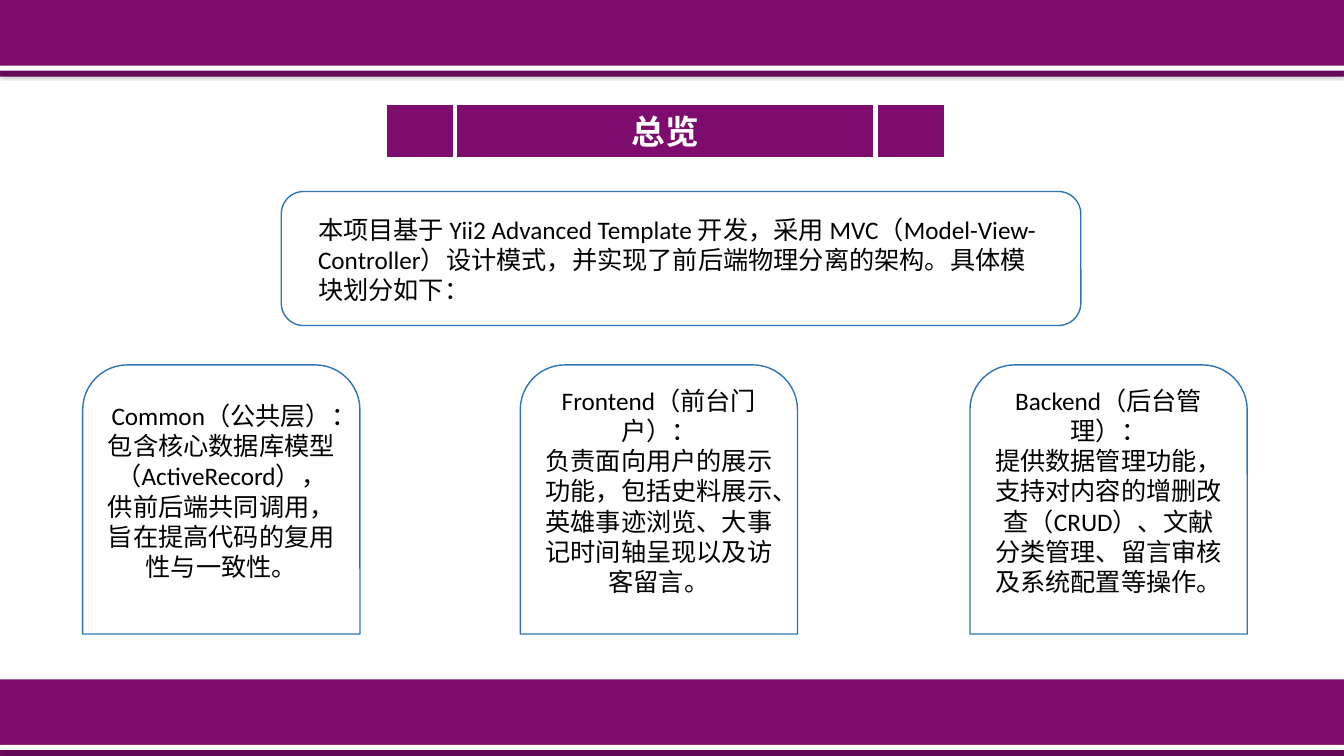
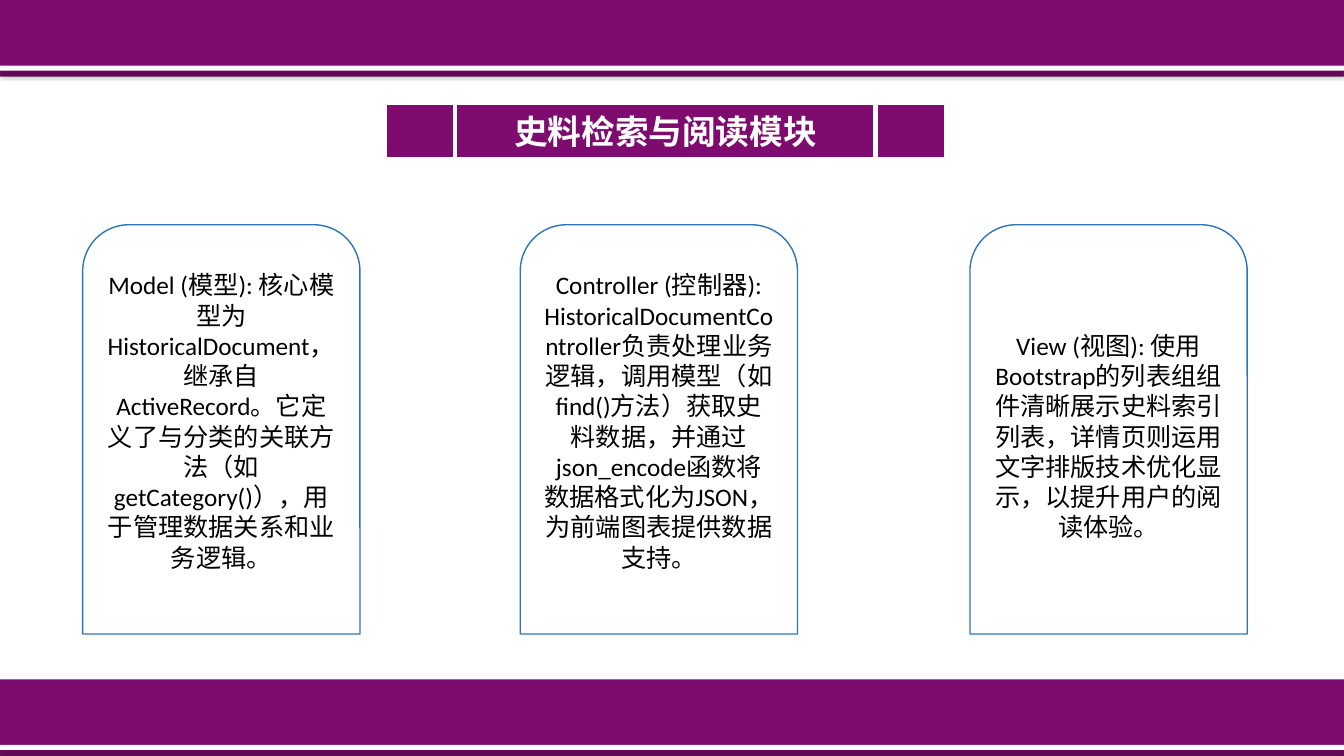
import dataclasses

import lxml.etree
import pptx
import pptx.dml.color
import pptx.enum.shapes
import pptx.enum.text
import pptx.oxml.ns
import pptx.util

Inches = pptx.util.Inches
Pt = pptx.util.Pt
ShapeType = pptx.enum.shapes.MSO_SHAPE
Align = pptx.enum.text.PP_ALIGN
Anchor = pptx.enum.text.MSO_ANCHOR


@dataclasses.dataclass(frozen=True)
class Theme:
    """Colours, type sizes and line widths shared by the slides."""

    purple: str = "7E0C6E"
    white: str = "FFFFFF"
    black: str = "000000"
    outline: str = "2E75B6"
    font: str = "Calibri"
    title_size: int = 24
    body_size: int = 18
    card_line: float = 1
    banner_line: float = 3


@dataclasses.dataclass(frozen=True)
class Box:
    """A rectangle in inches."""

    left: float
    top: float
    width: float
    height: float

    def lengths(self):
        """Return the four lengths in the order that add_shape takes."""
        return [Inches(value) for value in dataclasses.astuple(self)]


THEME = Theme()
PAGE = Box(0, 0, 13.33, 7.5)
BANNER = Box(3.82, 1.02, 5.56, 0.56)
INTRO = Box(2.79, 1.9, 7.93, 1.33)
BAND_HEIGHT = 0.76
CARD_LEFTS = (0.82, 5.16, 9.62)
CARD_WIDTH = 2.75
CARD_BOTTOM = 6.29
RAISED_INSET = 0.35
PLAIN_INSET = 0.05

INTRO_TEXT = (
    "本项目基于 Yii2 Advanced Template 开发，采用 MVC（Model-View-Controller）"
    "设计模式，并实现了前后端物理分离的架构。具体模块划分如下："
)
LAYER_CARDS = [
    (["Common（公共层）：",
      "包含核心数据库模型（ActiveRecord），供前后端共同调用，旨在提高代码的复用性与一致性。"],
     RAISED_INSET),
    (["Frontend（前台门户）：",
      "负责面向用户的展示功能，包括史料展示、英雄事迹浏览、大事记时间轴呈现以及访客留言。"],
     RAISED_INSET),
    (["Backend（后台管理）：",
      "提供数据管理功能，支持对内容的增删改查（CRUD）、文献分类管理、留言审核及系统配置等操作。"],
     RAISED_INSET),
]
MODULE_CARDS = [
    (["Model (模型): 核心模型为 HistoricalDocument，继承自ActiveRecord。"
      "它定义了与分类的关联方法（如 getCategory()），用于管理数据关系和业务逻辑。"],
     RAISED_INSET),
    (["Controller (控制器): HistoricalDocumentController负责处理业务逻辑，"
      "调用模型（如 find()方法）获取史料数据，并通过 json_encode函数将数据格式化为JSON，"
      "为前端图表提供数据支持。"],
     RAISED_INSET),
    (["View (视图): 使用Bootstrap的列表组组件清晰展示史料索引列表，"
      "详情页则运用文字排版技术优化显示，以提升用户的阅读体验。"],
     PLAIN_INSET),
]


def color(value):
    """Turn a hexadecimal value into a colour."""
    return pptx.dml.color.RGBColor.from_string(value)


def add_shape(slide, kind, box, fill, line=None, line_width=0):
    """Add a flat shape with the given fill and optional outline."""
    shape = slide.shapes.add_shape(kind, *box.lengths())
    shape.fill.solid()
    shape.fill.fore_color.rgb = color(fill)
    if line:
        shape.line.color.rgb = color(line)
        shape.line.width = Pt(line_width)
    else:
        shape.line.fill.background()
    shape.shadow.inherit = False
    return shape


def add_drop_shadow(shape):
    """Cast a soft shadow straight down from a shape."""
    qualified = pptx.oxml.ns.qn
    effects = shape.element.spPr.find(qualified("a:effectLst"))
    shadow = lxml.etree.SubElement(
        effects, qualified("a:outerShdw"), blurRad=str(Pt(4)), dist=str(Pt(3)),
        dir="5400000", algn="t", rotWithShape="0")
    shade = lxml.etree.SubElement(shadow, qualified("a:srgbClr"), val=THEME.black)
    lxml.etree.SubElement(shade, qualified("a:alpha"), val="40000")


def write_text(shape, texts, size, ink, alignment, bold=False):
    """Fill a shape with evenly formatted paragraphs."""
    frame = shape.text_frame
    frame.word_wrap = True
    frame.auto_size = pptx.enum.text.MSO_AUTO_SIZE.NONE
    frame.text = "\n".join(texts)
    for paragraph in frame.paragraphs:
        paragraph.alignment = alignment
        paragraph.font.name = THEME.font
        paragraph.font.size = Pt(size)
        paragraph.font.bold = bold
        paragraph.font.color.rgb = color(ink)


def add_band(slide, box):
    """Draw a purple band with a white stripe near its lower edge."""
    band = add_shape(slide, ShapeType.RECTANGLE, box, THEME.purple)
    stripe_box = Box(box.left, box.top + box.height - 0.11, box.width, 0.05)
    stripe = add_shape(slide, ShapeType.RECTANGLE, stripe_box, THEME.white)
    add_drop_shadow(stripe)
    return [band, stripe]


def dress_layout(layout, slide):
    """Draw the bands and title banner, and move them behind the layout title."""
    title = layout.placeholders[0]
    title.left, title.top, title.width, title.height = BANNER.lengths()
    decorations = []
    for top in (PAGE.top, PAGE.height - BAND_HEIGHT):
        decorations += add_band(slide, Box(PAGE.left, top, PAGE.width, BAND_HEIGHT))
    decorations.append(add_shape(
        slide, ShapeType.FLOWCHART_PREDEFINED_PROCESS, BANNER,
        THEME.purple, THEME.white, THEME.banner_line))
    for index, shape in enumerate(decorations):
        shape.element.nvSpPr.cNvPr.set("id", str(100 + index))
        layout.shapes.element.insert(2 + index, shape.element)


def write_title(slide, text):
    """Write the slide title on the banner."""
    title = slide.shapes.title
    title.text_frame.vertical_anchor = Anchor.MIDDLE
    write_text(title, [text], THEME.title_size, THEME.white, Align.CENTER, bold=True)


def add_intro(slide, box, text):
    """Add the rounded introduction panel."""
    panel = add_shape(slide, ShapeType.ROUNDED_RECTANGLE, box,
                      THEME.white, THEME.outline, THEME.card_line)
    frame = panel.text_frame
    frame.margin_left = Inches(0.3)
    frame.margin_right = Inches(0.25)
    frame.margin_top = Inches(0.16)
    frame.vertical_anchor = Anchor.TOP
    write_text(panel, [text], THEME.body_size, THEME.black, Align.LEFT)


def add_cards(slide, top, cards):
    """Add a row of cards from the given top to the common bottom."""
    for left, (texts, bottom_inset) in zip(CARD_LEFTS, cards):
        box = Box(left, top, CARD_WIDTH, CARD_BOTTOM - top)
        card = add_shape(slide, ShapeType.ROUND_2_SAME_RECTANGLE, box,
                         THEME.white, THEME.outline, THEME.card_line)
        card.text_frame.margin_bottom = Inches(bottom_inset)
        card.text_frame.vertical_anchor = Anchor.MIDDLE
        write_text(card, texts, THEME.body_size, THEME.black, Align.CENTER)


def main():
    """Build and save the presentation."""
    presentation = pptx.Presentation()
    presentation.slide_width = Inches(PAGE.width)
    presentation.slide_height = Inches(PAGE.height)
    layout = presentation.slide_layouts.get_by_name("Title Only")

    overview = presentation.slides.add_slide(layout)
    dress_layout(layout, overview)
    write_title(overview, "总览")
    add_intro(overview, INTRO, INTRO_TEXT)
    add_cards(overview, 3.62, LAYER_CARDS)

    module = presentation.slides.add_slide(layout)
    write_title(module, "史料检索与阅读模块")
    add_cards(module, 2.23, MODULE_CARDS)

    presentation.save("out.pptx")


if __name__ == "__main__":
    main()
